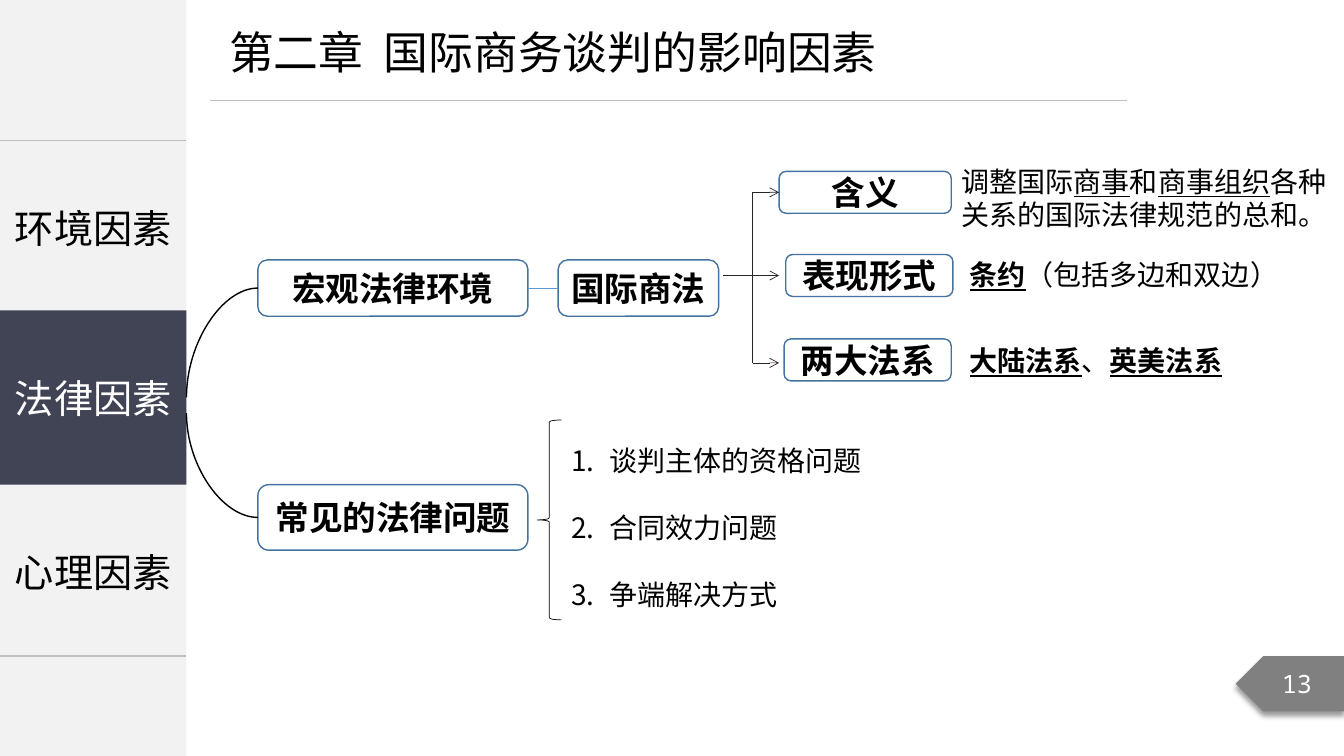
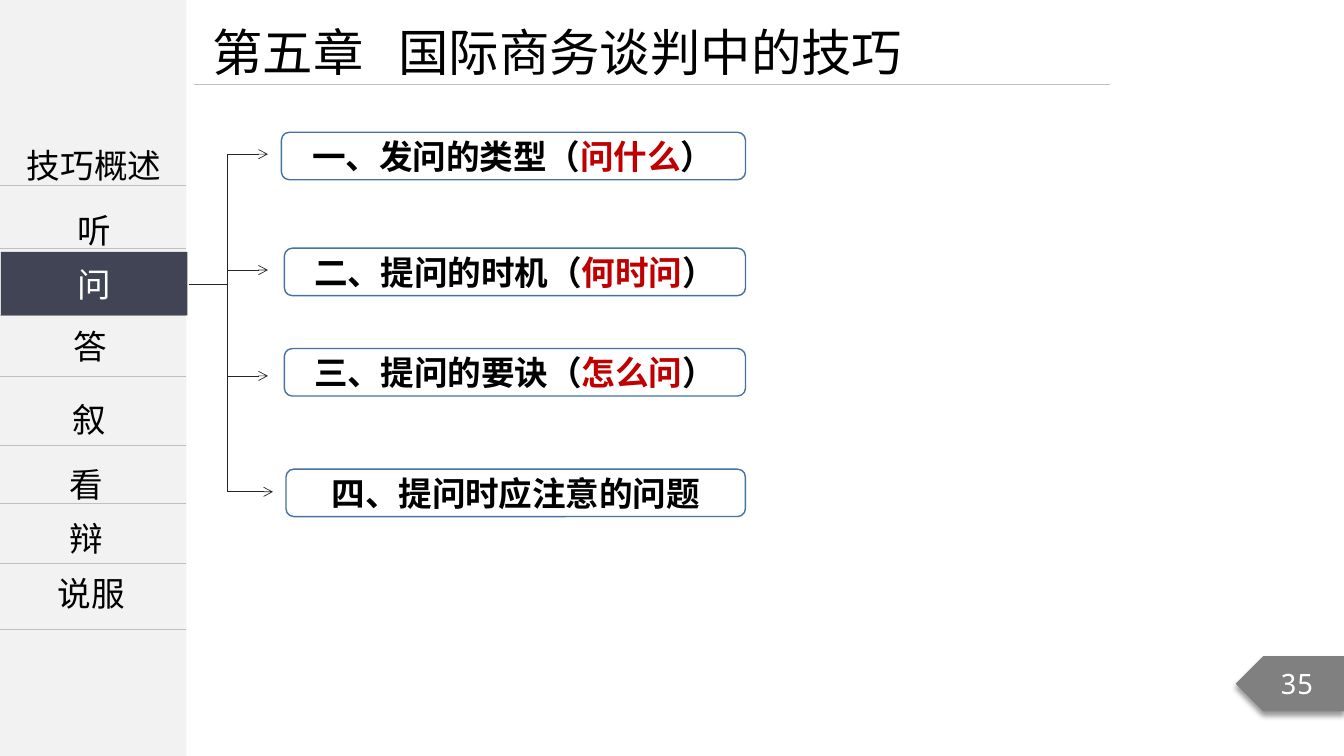
from lxml.etree import SubElement
from pptx import Presentation
from pptx.dml.color import RGBColor
from pptx.enum.shapes import MSO_CONNECTOR, MSO_SHAPE
from pptx.enum.text import MSO_ANCHOR, PP_ALIGN
from pptx.oxml.ns import qn
from pptx.util import Emu, Pt

WIDTH, HEIGHT = Emu(12192000), Emu(6858000)
COLS, ROWS = 160, 90
UNIT = WIDTH / COLS

BLACK = RGBColor(0x00, 0x00, 0x00)
WHITE = RGBColor(0xFF, 0xFF, 0xFF)
PALE = RGBColor(0xF2, 0xF2, 0xF2)
SILVER = RGBColor(0xBF, 0xBF, 0xBF)
GRAY = RGBColor(0x80, 0x80, 0x80)
SLATE = RGBColor(0x41, 0x44, 0x55)
STEEL = RGBColor(0x43, 0x73, 0x9E)
SKY = RGBColor(0x5B, 0x9B, 0xD5)
INK = RGBColor(0x26, 0x26, 0x26)
RED = RGBColor(0xC0, 0x00, 0x00)

SANS, MONO = "Noto Sans CJK SC", "Noto Sans Mono"
SIDE = 22.2
PLAIN, MARK, KEY = {}, {"underline": True}, {"underline": True, "bold": True}
HOT = {"color": RED}

TOPICS = ["环境因素", "法律因素", "心理因素"]
LAW = {
    "title": ("第二章\t国际商务谈判的影响因素", 32, 18.4, (26.1, 2.3, 83.1, 7.7)),
    "rule": (25.05, 11.9),
    "page": ("13", 18),
    "tab": (TOPICS[1], 28, (0, 36.95, SIDE, 20.75)),
}
BOXES = {
    "macro": ("宏观法律环境", (30.7, 30.95, 32.15, 6.7)),
    "issue": ("常见的法律问题", (30.7, 57.7, 32.15, 7.8)),
    "trade": ("国际商法", (66.45, 30.95, 19.1, 6.7)),
    "sense": ("含义", (92.75, 20.4, 20.5, 5)),
    "form": ("表现形式", (93.55, 30.3, 19.9, 5)),
    "system": ("两大法系", (93.35, 40.35, 19.9, 5)),
}
CURVES = [("macro", 47.3), ("issue", 49.2)]
NOTES = [
    ((113.3, 18.95, 46.7, 9.2), [("调整国际", PLAIN), ("商事", MARK), ("和", PLAIN),
                                 ("商事组织", MARK), ("各种关系的国际法律规范的总和。", PLAIN)]),
    ((114.25, 30.1, 45.75, 5.3), [("条约", KEY), ("（包括多边和双边）", PLAIN)]),
    ((114.25, 40.35, 34, 5.3), [("大陆法系", KEY), ("、", PLAIN), ("英美法系", KEY)]),
]
ISSUES = ["谈判主体的资格问题", "合同效力问题", "争端解决方式"]

SKILL = {
    "title": ("第五章\t国际商务谈判中的技巧", 36, 22.15, (24.1, 1.9, 116, 8.5)),
    "rule": (23.1, 10.1),
    "page": ("35", 20),
    "tab": ("问", 24, (0.1, 30, SIDE, 7.55)),
}
LABELS = [
    ("技巧概述", 0.2, 14.3, 1.5), ("听", 0.2, 22.05, 1.5), ("答", -0.2, 38.2, 1),
    ("叙", -0.4, 44.45, 1.5), ("看", -0.7, 52.25, 1.5), ("辩", -0.7, 61.1, 1),
    ("说服", -0.1, 67.65, 1),
]
LINES = [22.05, 29.6, 37.6, 44.85, 53, 59.95, 67.05, 74.95]
ASKS = [
    ([("一、发问的类型（", PLAIN), ("问什么", HOT), ("）", PLAIN)], 33.5, 15.75),
    ([("二、提问的时机（", PLAIN), ("何时问", HOT), ("）", PLAIN)], 33.85, 29.55),
    ([("三、提问的要诀（", PLAIN), ("怎么问", HOT), ("）", PLAIN)], 33.85, 41.5),
    ([("四、提问时应注意的问题", PLAIN)], 34.05, 55.85),
]
ASK_END = 88.75


def size(*vals):
    return [Emu(round(v * UNIT)) for v in vals]


def style(run, look):
    look = {"name": SANS, "color": BLACK, **look}
    color, space = look.pop("color"), look.pop("space", None)
    for key, val in look.items():
        setattr(run.font, key, val)
    run.font.color.rgb = color
    props = run.font._element
    SubElement(props, qn("a:ea"), typeface=look["name"])
    if space:
        props.set("spc", str(space))


def write(frame, runs, look, align=PP_ALIGN.LEFT, gap=1, para=None):
    para = para or frame.paragraphs[0]
    for key, val in {"alignment": align, "line_spacing": gap}.items():
        setattr(para, key, val)
    for words, extra in [(runs, {})] if isinstance(runs, str) else runs:
        run = para.add_run()
        run.text = words
        style(run, {**look, **extra})
    return para


def label(slide, spot, runs, look, **more):
    frame = slide.shapes.add_textbox(*size(*spot)).text_frame
    frame.word_wrap = True
    return write(frame, runs, look, **more)


def block(slide, kind, spot, fill=None, edge=None, weight=1):
    item = slide.shapes.add_shape(kind, *size(*spot))
    item.shadow.inherit = False
    if fill is None:
        item.fill.background()
    else:
        item.fill.solid()
        item.fill.fore_color.rgb = fill
    if edge is None:
        item.line.fill.background()
    else:
        item.line.color.rgb = edge
        item.line.width = Pt(weight)
    return item


def center(item, runs, look, wrap=True):
    frame = item.text_frame
    for key, val in {"word_wrap": wrap, "vertical_anchor": MSO_ANCHOR.MIDDLE}.items():
        setattr(frame, key, val)
    write(frame, runs, look, align=PP_ALIGN.CENTER)


def box(slide, runs, spot):
    item = block(slide, MSO_SHAPE.ROUNDED_RECTANGLE, spot, edge=STEEL)
    center(item, runs, {"size": Pt(24), "bold": True, "space": -10}, wrap=False)
    return item


def join(slide, start, end, color=INK, weight=0.5, arrow=False, curve=False):
    kind = MSO_CONNECTOR.CURVE if curve else MSO_CONNECTOR.STRAIGHT
    item = slide.shapes.add_connector(kind, *size(*start, *end))
    item.line.color.rgb = color
    item.line.width = Pt(weight)
    if arrow:
        SubElement(item.line._get_or_add_ln(), qn("a:tailEnd"), type="arrow")
    props = item._element.spPr
    if curve:
        props.find(qn("a:prstGeom")).set("prst", "curvedConnector2")
    SubElement(props, qn("a:effectLst"))
    return item


def fork(slide, spine, stem, root, tips):
    join(slide, (stem, root), (spine, root))
    join(slide, (spine, tips[0][1]), (spine, tips[-1][1]))
    return [join(slide, (spine, y), (x, y), arrow=True) for x, y in tips]


def badge(slide, words, points):
    item = block(slide, MSO_SHAPE.PENTAGON, (147.1, 78.1, 12.95, 6.6), GRAY)
    props = item._element.spPr
    props.find(qn("a:xfrm")).set("flipH", "1")
    shade = SubElement(props.find(qn("a:effectLst")), qn("a:outerShdw"), blurRad=str(Pt(4)),
                       dist=str(Pt(3)), dir="5400000", algn="t", rotWithShape="0")
    tint = SubElement(shade, qn("a:srgbClr"), val=str(BLACK))
    SubElement(tint, qn("a:alpha"), val="40000")
    center(item, words, {"size": Pt(points), "name": MONO, "color": WHITE})


def start(deck, data):
    slide = deck.slides.add_slide(deck.slide_layouts[6])
    block(slide, MSO_SHAPE.RECTANGLE, (0, 0, SIDE, ROWS), PALE)
    words, points, stop, spot = data["title"]
    frame = slide.shapes.add_textbox(*size(*spot)).text_frame
    frame.word_wrap = True
    para = frame.paragraphs[0]
    stops = SubElement(para._p.get_or_add_pPr(), qn("a:tabLst"))
    SubElement(stops, qn("a:tab"), pos=str(size(stop)[0]), algn="l")
    write(frame, words, {"size": Pt(points)}, para=para)
    x, y = data["rule"]
    join(slide, (x, y), (x + 109.1, y), SILVER)
    badge(slide, *data["page"])
    return slide


def mark(slide, data):
    words, points, spot = data["tab"]
    item = block(slide, MSO_SHAPE.RECTANGLE, spot, SLATE)
    center(item, words, {"size": Pt(points), "color": WHITE})


def menu(slide):
    count = len(TOPICS)
    grid = slide.shapes.add_table(count, 1, *size(0, 16.75, SIDE, 20.45 * count)).table
    grid.first_row = grid.horz_banding = False
    for i, words in enumerate(TOPICS):
        cell = grid.cell(i, 0)
        cell.vertical_anchor = MSO_ANCHOR.MIDDLE
        write(cell.text_frame, words, {"size": Pt(28)}, align=PP_ALIGN.CENTER)
        props = cell._tc.get_or_add_tcPr()
        drawn = {"T": i == 0, "B": i == count - 1}
        for side in "LRTB":
            edge = SubElement(props, qn("a:ln" + side), w=str(Pt(1)))
            if drawn.get(side):
                fill = SubElement(edge, qn("a:solidFill"))
                SubElement(fill, qn("a:srgbClr"), val=str(SILVER))
            else:
                SubElement(edge, qn("a:noFill"))
        cell.fill.background()


def law(deck):
    slide = start(deck, LAW)
    menu(slide)
    mark(slide, LAW)
    made = {key: box(slide, *val) for key, val in BOXES.items()}
    for key, y in CURVES:
        left, top, _, high = BOXES[key][1]
        join(slide, (left, top + high / 2), (SIDE, y), BLACK, 1, curve=True)
    link = join(slide, (62.85, 34.3), (66.45, 34.3), SKY)
    link.begin_connect(made["macro"], 3)
    link.end_connect(made["trade"], 1)
    arrows = fork(slide, 89.6, 86.05, 32.8, [(92.75, y) for y in (22.9, 32.8, 43.2)])
    arrows[0].end_connect(made["sense"], 1)
    for spot, runs in NOTES:
        label(slide, spot, runs, {"size": Pt(20)})
    block(slide, MSO_SHAPE.LEFT_BRACE, (63.95, 50, 2.9, 23.8), edge=BLACK, weight=0.5)
    frame = slide.shapes.add_textbox(*size(66.85, 48.15, 39.8, 25.4)).text_frame
    frame.word_wrap = True
    dent = size(4.5)[0]
    for i, words in enumerate(ISSUES):
        para = frame.add_paragraph() if i else frame.paragraphs[0]
        props = para._p.get_or_add_pPr()
        for key, val in {"marL": dent, "indent": -dent}.items():
            props.set(key, str(val))
        SubElement(props, qn("a:buFont"), typeface="+mj-lt")
        SubElement(props, qn("a:buAutoNum"), type="arabicPeriod")
        write(frame, words, {"size": Pt(20)}, gap=2.0, para=para)


def skill(deck):
    slide = start(deck, SKILL)
    for y in LINES:
        join(slide, (0, y), (SIDE, y), SILVER)
    for words, x, y, gap in LABELS:
        label(slide, (x, y, 22, 7.7 if gap > 1 else 6), words, {"size": Pt(24)},
              align=PP_ALIGN.CENTER, gap=float(gap))
    mark(slide, SKILL)
    for runs, x, y in ASKS:
        box(slide, runs, (x, y, ASK_END - x, 5.65))
    fork(slide, 27.05, 22.45, 33.85, [(31.9, 18.35), (31.9, 32.15), (31.9, 44.75), (32.5, 58.55)])


def main():
    deck = Presentation()
    deck.slide_width, deck.slide_height = WIDTH, HEIGHT
    law(deck)
    skill(deck)
    deck.save("out.pptx")


if __name__ == "__main__":
    main()
